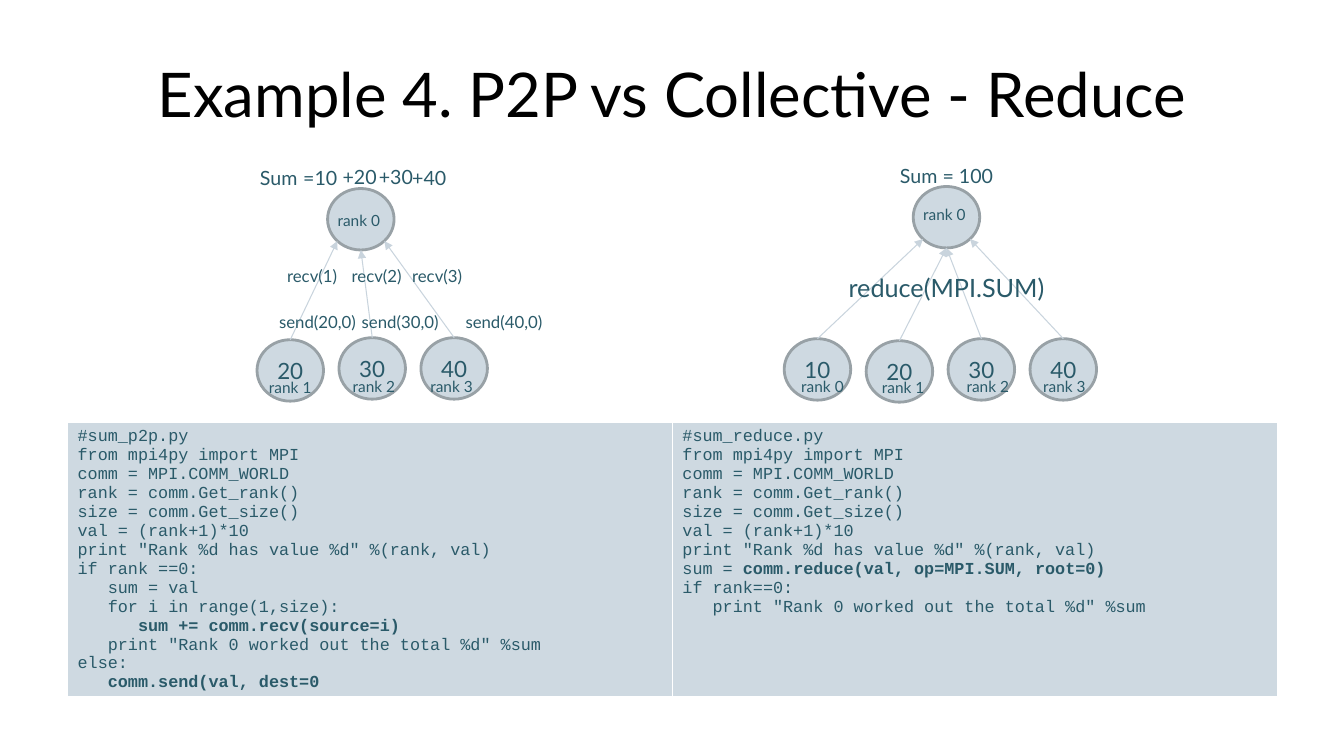
"""Build a slide comparing point-to-point and collective reduction."""
from dataclasses import dataclass

import pptx
import pptx.dml.color
import pptx.enum.shapes
import pptx.enum.text
import pptx.oxml
import pptx.oxml.ns
import pptx.util

TITLE = "Example 4. P2P vs Collective - Reduce"
SHARED_CODE = [
    "from mpi4py import MPI",
    "comm = MPI.COMM_WORLD",
    "rank = comm.Get_rank()",
    "size = comm.Get_size()",
    "val = (rank+1)*10",
    'print "Rank %d has value %d" %(rank, val)',
]
BOLD_MARK = "**"
P2P_CODE = ["#sum_p2p.py", *SHARED_CODE,
            "if rank ==0:",
            "   sum = val",
            "   for i in range(1,size):",
            "**      sum += comm.recv(source=i)**",
            '   print "Rank 0 worked out the total %d" %sum',
            "else:",
            "**   comm.send(val, dest=0**"]
REDUCE_CODE = ["#sum_reduce.py", *SHARED_CODE,
               "sum = **comm.reduce(val, op=MPI.SUM, root=0)**",
               "if rank==0:",
               '   print "Rank 0 worked out the total %d" %sum']

CELL = 0.1
TITLE_AREA = (6.7, 3, 120, 12.5)
CODE_AREA = (6.7, 41.9, 120, 27.1)
NODE_WIDTH, NODE_HEIGHT, NODE_PITCH = 6.6, 6.1, 8.13
DIAGONAL = 0.5 ** 0.5

TREES = [
    {"root": (32.5, 18.7), "first": 25.5,
     "nodes": [("20", 33.7, -1), ("30", 33.5, 0), ("40", 33.5, 1)]},
    {"root": (90.6, 18.5), "first": 77.8,
     "nodes": [("10", 33.6, -1), ("20", 33.8, 0), ("30", 33.6, 0), ("40", 33.6, 1)]},
]
LABELS = {
    "rank": (6.2, 2.9, [
        ("rank 0", 32.5, 20.5), ("rank 1", 25.7, 37), ("rank 2", 34, 36.9),
        ("rank 3", 41.7, 36.9), ("rank 0", 90.6, 19.9), ("rank 0", 78.5, 36.9),
        ("rank 1", 86.5, 37), ("rank 2", 94.9, 36.9), ("rank 3", 102.5, 36.9)]),
    "send": (10, 3, [
        ("send(20,0)", 26.7, 30.4), ("send(30,0)", 34.9, 30.4), ("send(40,0)", 45.2, 30.4)]),
    "recv": (7.2, 3, [
        ("recv(1)", 27.5, 25.9), ("recv(2)", 33.9, 25.9), ("recv(3)", 39.9, 25.9)]),
    "sum": (6.1, 3.4, [("Sum", 24.8, 16)]),
    "term": (5.5, 3.4, [
        ("=10", 29.1, 16), ("+20", 33, 15.9), ("+30", 36.6, 15.9), ("+40", 39.9, 16)]),
    "total": (11.5, 3.4, [("Sum = 100", 88.3, 15.8)]),
    "reduce": (22.2, 4, [("reduce(MPI.SUM)", 83.2, 26.5)]),
}


@dataclass(frozen=True)
class Theme:
    """Colours, fonts and type sizes of the slide."""
    title: str = "000000"
    ink: str = "2A5A69"
    panel: str = "CED9E1"
    ring: str = "98A1A6"
    arrow: str = "C9D4DD"
    border: str = "FFFFFF"
    font: str = "Lato"
    code_font: str = "Courier New"
    title_size: int = 44
    code_size: int = 12
    value_size: int = 16
    label_sizes: tuple = (("rank", 11), ("send", 12), ("recv", 12), ("sum", 14),
                          ("term", 14), ("total", 14), ("reduce", 18))


THEME = Theme()


def grid(*cells):
    """Turn grid cells into slide lengths."""
    return [pptx.util.Inches(round(cell * CELL, 3)) for cell in cells]


def rgb(code):
    """Turn a hex code into a colour."""
    return pptx.dml.color.RGBColor.from_string(code)


def add_span(para, text, size, color=THEME.ink, font=THEME.font, bold=False):
    """Add one formatted run to a paragraph."""
    span = para.add_run()
    span.text = text
    span.font.size = pptx.util.Pt(size)
    span.font.name = font
    span.font.bold = bold
    span.font.color.rgb = rgb(color)


def add_title(page):
    """Fill and place the title placeholder."""
    title = page.shapes.title
    title.left, title.top, title.width, title.height = grid(*TITLE_AREA)
    title.text_frame.vertical_anchor = pptx.enum.text.MSO_ANCHOR.MIDDLE
    para = title.text_frame.paragraphs[0]
    para.alignment = pptx.enum.text.PP_ALIGN.CENTER
    add_span(para, TITLE, THEME.title_size, THEME.title)


def add_borders(cell):
    """Draw the cell's borders, heavier at the bottom."""
    properties = cell._tc.get_or_add_tcPr()
    for index, (side, points) in enumerate((("L", 1), ("R", 1), ("T", 1), ("B", 3))):
        properties.insert(index, pptx.oxml.parse_xml(
            f'<a:ln{side} {pptx.oxml.ns.nsdecls("a")} w="{pptx.util.Pt(points)}">'
            f'<a:solidFill><a:srgbClr val="{THEME.border}"/></a:solidFill></a:ln{side}>'))


def add_code(page):
    """Add the two listings side by side."""
    listings = [P2P_CODE, REDUCE_CODE]
    table = page.shapes.add_table(1, len(listings), *grid(*CODE_AREA)).table
    table.first_row = table.horz_banding = False
    for cell, lines in zip(table.rows[0].cells, listings):
        cell.fill.solid()
        cell.fill.fore_color.rgb = rgb(THEME.panel)
        add_borders(cell)
        for number, line in enumerate(lines):
            frame = cell.text_frame
            para = frame.add_paragraph() if number else frame.paragraphs[0]
            for part, text in enumerate(line.split(BOLD_MARK)):
                if text:
                    add_span(para, text, THEME.code_size, font=THEME.code_font,
                             bold=part % 2 == 1)


def add_node(page, left, top, value=""):
    """Add one process circle."""
    node = page.shapes.add_shape(pptx.enum.shapes.MSO_SHAPE.OVAL,
                                 *grid(left, top, NODE_WIDTH, NODE_HEIGHT))
    node.shadow.inherit = False
    node.fill.solid()
    node.fill.fore_color.rgb = rgb(THEME.panel)
    node.line.color.rgb = rgb(THEME.ring)
    node.line.width = pptx.util.Pt(2)
    node.text_frame.vertical_anchor = pptx.enum.text.MSO_ANCHOR.MIDDLE
    if value:
        para = node.text_frame.paragraphs[0]
        para.alignment = pptx.enum.text.PP_ALIGN.CENTER
        add_span(para, value, THEME.value_size)
    return node


def add_arrow(page, node, root, side):
    """Join a circle's top to the lower left, bottom or lower right of the root."""
    left, top = root
    drop = DIAGONAL if side else 1
    end = grid(left + NODE_WIDTH / 2 * (1 + side * DIAGONAL),
               top + NODE_HEIGHT / 2 * (1 + drop))
    arrow = page.shapes.add_connector(pptx.enum.shapes.MSO_CONNECTOR.STRAIGHT,
                                      node.left, node.top, *end)
    arrow.begin_connect(node, 0)
    arrow.line.color.rgb = rgb(THEME.arrow)
    arrow.line.width = pptx.util.Pt(0.75)
    namespace = pptx.oxml.ns.nsdecls("a")
    arrow.line._get_or_add_ln().append(
        pptx.oxml.parse_xml(f'<a:tailEnd {namespace} type="triangle"/>'))
    arrow._element.spPr.append(pptx.oxml.parse_xml(f"<a:effectLst {namespace}/>"))


def add_tree(page, tree):
    """Add a root circle and the circles that send to it."""
    add_node(page, *tree["root"])
    for column, (value, top, side) in enumerate(tree["nodes"]):
        node = add_node(page, tree["first"] + column * NODE_PITCH, top, value)
        add_arrow(page, node, tree["root"], side)


def add_labels(page):
    """Add every free-standing label."""
    for kind, size in THEME.label_sizes:
        width, height, labels = LABELS[kind]
        for text, left, top in labels:
            box = page.shapes.add_textbox(*grid(left, top, width, height))
            box.text_frame.word_wrap = False
            box.text_frame.auto_size = pptx.enum.text.MSO_AUTO_SIZE.SHAPE_TO_FIT_TEXT
            add_span(box.text_frame.paragraphs[0], text, size)


def main():
    """Build and save the deck."""
    deck = pptx.Presentation()
    deck.slide_width, deck.slide_height = grid(133.33, 75)
    page = deck.slides.add_slide(deck.slide_layouts[5])
    add_title(page)
    add_code(page)
    for tree in TREES:
        add_tree(page, tree)
    add_labels(page)
    deck.save("out.pptx")


if __name__ == "__main__":
    main()
